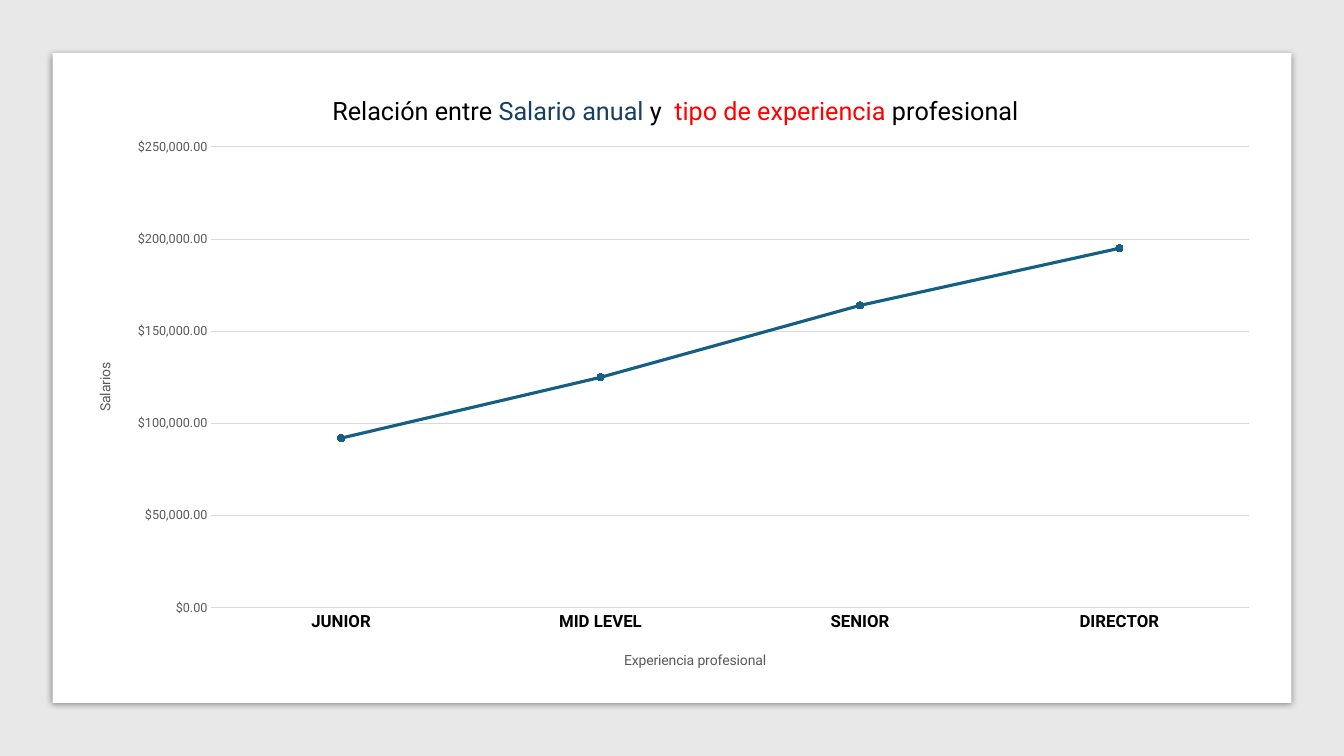
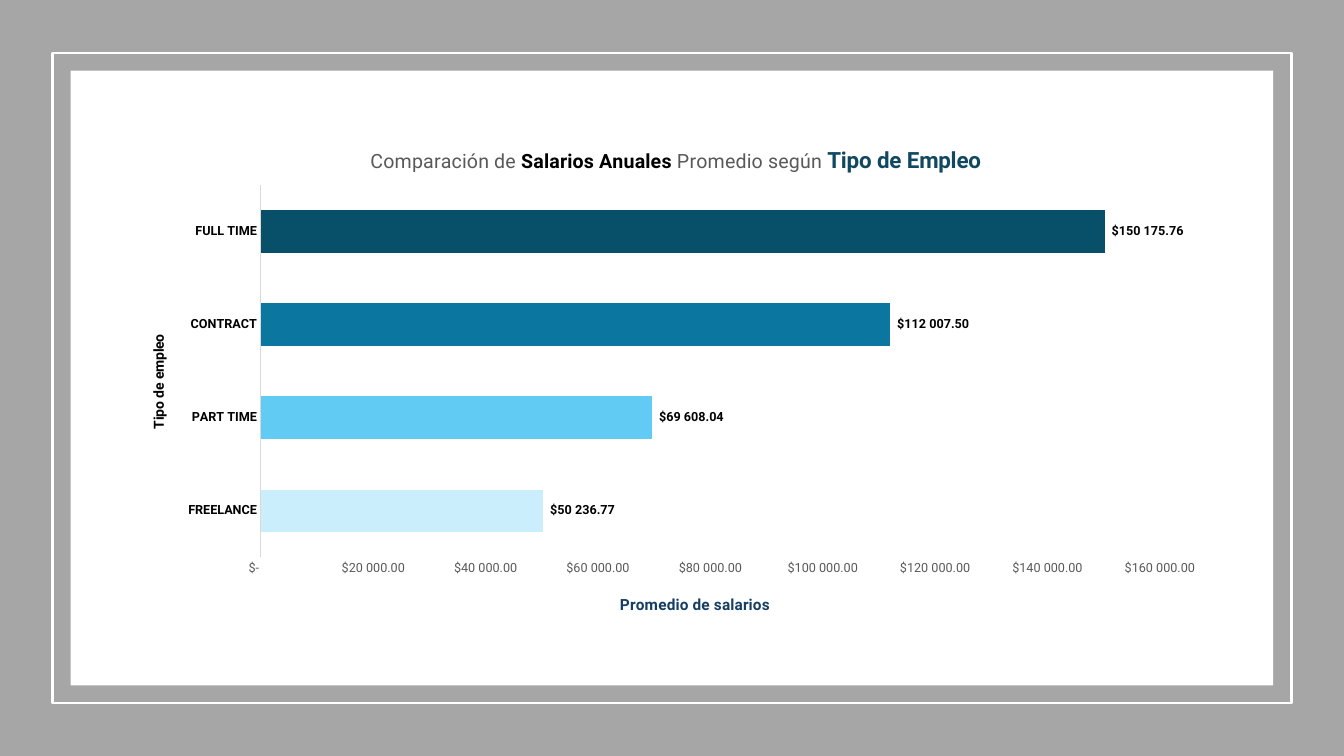
from lxml import etree
from pptx import Presentation
from pptx.chart.data import CategoryChartData as ChartData
from pptx.dml.color import RGBColor as RGB
from pptx.enum.chart import XL_CHART_TYPE as Kind, XL_LABEL_POSITION as Spot
from pptx.enum.chart import XL_MARKER_STYLE as Mark, XL_TICK_MARK as Tick
from pptx.enum.shapes import MSO_SHAPE as Shape
from pptx.oxml import parse_xml
from pptx.oxml.ns import nsdecls, qn
from pptx.util import Pt

# Shared style
FONT = "Roboto"
WHITE, BLACK, RED = RGB(255, 255, 255), RGB(0, 0, 0), RGB(255, 0, 0)
PALE, MID, RULE, GRAY = (RGB(v, v, v) for v in (0xE8, 0xA6, 0xD9, 0x59))
NAVY, TEAL, DEEP = RGB(0x16, 0x3E, 0x64), RGB(0x15, 0x60, 0x82), RGB(0x10, 0x48, 0x62)
BLUES = [RGB(0xCA, 0xEE, 0xFB), RGB(0x61, 0xCB, 0xF4),
         RGB(0x0B, 0x76, 0xA0), RGB(0x08, 0x4F, 0x6A)]
WIDE, HIGH = 960, 540
OUTER, INNER, INSET = (37.5, 38), (50.5, 50.5), (88.5, 88.5)  # margins: side, top

# Content: text runs are (text, size, colour, bold); spots are chart fractions
LINE = dict(
    kind=Kind.LINE_MARKERS, margin=INNER, plot=(0.117, 0.124, 0.863, 0.75),
    names=["JUNIOR", "MID LEVEL", "SENIOR", "DIRECTOR"],
    vals=[92000, 125000, 164000, 195000],
    fmt="[$$-45C]#,##0.00", top=250000, step=50000, cat_size=12,
    title=((0.215, 0.035), [
        ("Relación entre ", 18, BLACK, False), ("Salario anual", 18, NAVY, False),
        (" y ", 18, BLACK, False), (" tipo de experiencia", 18, RED, False),
        (" profesional", 18, BLACK, False)]),
    cat=((0.458, 0.94), [("Experiencia profesional", 10, GRAY, False)]),
    val=((0.019, 0.471), [("Salarios", 10, GRAY, False)]))
BAR = dict(
    kind=Kind.BAR_CLUSTERED, margin=INSET, plot=(0.125, 0.12, 0.82, 0.733),
    names=["FREELANCE", "PART TIME", "CONTRACT", "FULL TIME"],
    vals=[50236.77, 69608.04, 112007.5, 150175.76],
    fmt=r'_-[$$-45C]* #\ ##0.00_-;\-[$$-45C]* #\ ##0.00_-;_-[$$-45C]* "-"??_-;_-@_-',
    top=160000, step=20000, cat_size=9,
    title=((0.222, 0.038), [
        ("Comparación de ", 14, GRAY, False), ("Salarios Anuales", 14, BLACK, True),
        (" Promedio según ", 14, GRAY, False), ("Tipo de Empleo", 16, DEEP, True)]),
    cat=((0.021, 0.409), [("Tipo de empleo", 10, BLACK, True)]),
    val=((0.45, 0.919), [("Promedio de salarios", 11, NAVY, True)]))


def style(font, size, color, bold=False):
    font.name, font.size, font.bold = FONT, Pt(size), bold
    font.color.rgb = color


def frame(margin):
    side, top = margin
    return [Pt(v) for v in (side, top, WIDE - 2 * side, HIGH - 2 * top)]


def panel(slide, margin, fill=None, line=None):
    box = slide.shapes.add_shape(Shape.RECTANGLE, *frame(margin))
    box.shadow.inherit = False
    if fill is None:
        box.fill.background()
    else:
        box.fill.solid()
        box.fill.fore_color.rgb = fill
    if line is None:
        box.line.fill.background()
    else:
        box.line.color.rgb, box.line.width = line, Pt(1.5)
    return box


def drop_shadow(box):
    glow = box._element.spPr.find(qn("a:effectLst"))
    glow.append(parse_xml(
        f'<a:outerShdw {nsdecls("a")} blurRad="{Pt(5)}" dist="{Pt(1.4)}" dir="5400000" '
        'algn="t" rotWithShape="0"><a:srgbClr val="000000"><a:alpha val="43000"/>'
        '</a:srgbClr></a:outerShdw>'))


def place(node, spot, inner=False):
    """Give a title or the plot area a fixed spot in the chart."""
    for old in node.findall(qn("c:layout")):
        node.remove(old)
    lay = etree.Element(qn("c:layout"))
    man = etree.SubElement(lay, qn("c:manualLayout"))
    parts = [("layoutTarget", "inner")] if inner else []
    parts += [("xMode", "edge"), ("yMode", "edge")] + list(zip("xywh", spot))
    for tag, val in parts:
        etree.SubElement(man, qn("c:" + tag)).set("val", str(val))
    text = node.find(qn("c:tx"))
    node.insert(0 if text is None else node.index(text) + 1, lay)


def write(title, spot, runs):
    para = title.text_frame.paragraphs[0]
    for text, *look in runs:
        run = para.add_run()
        run.text = text
        style(run.font, *look)
    place(title._element, spot)


def add_chart(slide, data):
    table = ChartData(number_format=data["fmt"])
    table.categories = data["names"]
    table.add_series("Series 1", data["vals"])
    chart = slide.shapes.add_chart(data["kind"], *frame(data["margin"]), table).chart
    style(chart.font, 10, BLACK)
    chart.has_legend = False
    cat, val, plot = chart.category_axis, chart.value_axis, chart.plots[0]
    plot.vary_by_categories = False

    # Axes
    for axis in (cat, val):
        axis.major_tick_mark = axis.minor_tick_mark = Tick.NONE
        axis.has_major_gridlines = False
    style(cat.tick_labels.font, data["cat_size"], BLACK, True)
    cat.format.line.color.rgb, cat.format.line.width = RULE, Pt(0.75)
    style(val.tick_labels.font, 9, GRAY)
    val.format.line.fill.background()
    val.minimum_scale, val.maximum_scale = 0, data["top"]
    val.major_unit = data["step"]
    val.tick_labels.number_format = data["fmt"]
    val.tick_labels.number_format_is_linked = False

    # Titles and plot area
    write(chart.chart_title, *data["title"])
    write(cat.axis_title, *data["cat"])
    write(val.axis_title, *data["val"])
    place(chart._chartSpace.chart.plotArea, data["plot"], True)
    return chart, plot, plot.series[0]


def paint_mark(item, color):
    item.marker.style, item.marker.size = Mark.CIRCLE, 5
    look = item.marker.format
    look.fill.solid()
    look.fill.fore_color.rgb = look.line.color.rgb = color
    item.format.line.color.rgb, item.format.line.width = TEAL, Pt(2.25)


def line_slide(slide):
    panel(slide, (0, 0), PALE)
    drop_shadow(panel(slide, OUTER, WHITE))
    chart, plot, pay = add_chart(slide, LINE)
    grid = chart.value_axis.major_gridlines.format.line
    grid.color.rgb, grid.width = RULE, Pt(0.75)
    pay.smooth = False
    paint_mark(pay, TEAL)
    paint_mark(pay.points[len(LINE["vals"]) - 1], RED)


def bar_slide(slide):
    panel(slide, (0, 0), MID)
    panel(slide, OUTER, line=WHITE)
    panel(slide, INNER, WHITE)
    chart, plot, pay = add_chart(slide, BAR)
    plot.gap_width = 120
    for i, color in enumerate(BLUES):
        fill = pay.points[i].format.fill
        fill.solid()
        fill.fore_color.rgb = color
    tags = pay.data_labels
    tags.show_value, tags.position = True, Spot.OUTSIDE_END
    tags.number_format, tags.number_format_is_linked = BAR["fmt"], False
    style(tags.font, 9, BLACK, True)


def main():
    deck = Presentation()
    deck.slide_width, deck.slide_height = Pt(WIDE), Pt(HIGH)
    for build in (line_slide, bar_slide):
        build(deck.slides.add_slide(deck.slide_layouts[6]))
    deck.save("out.pptx")


if __name__ == "__main__":
    main()
